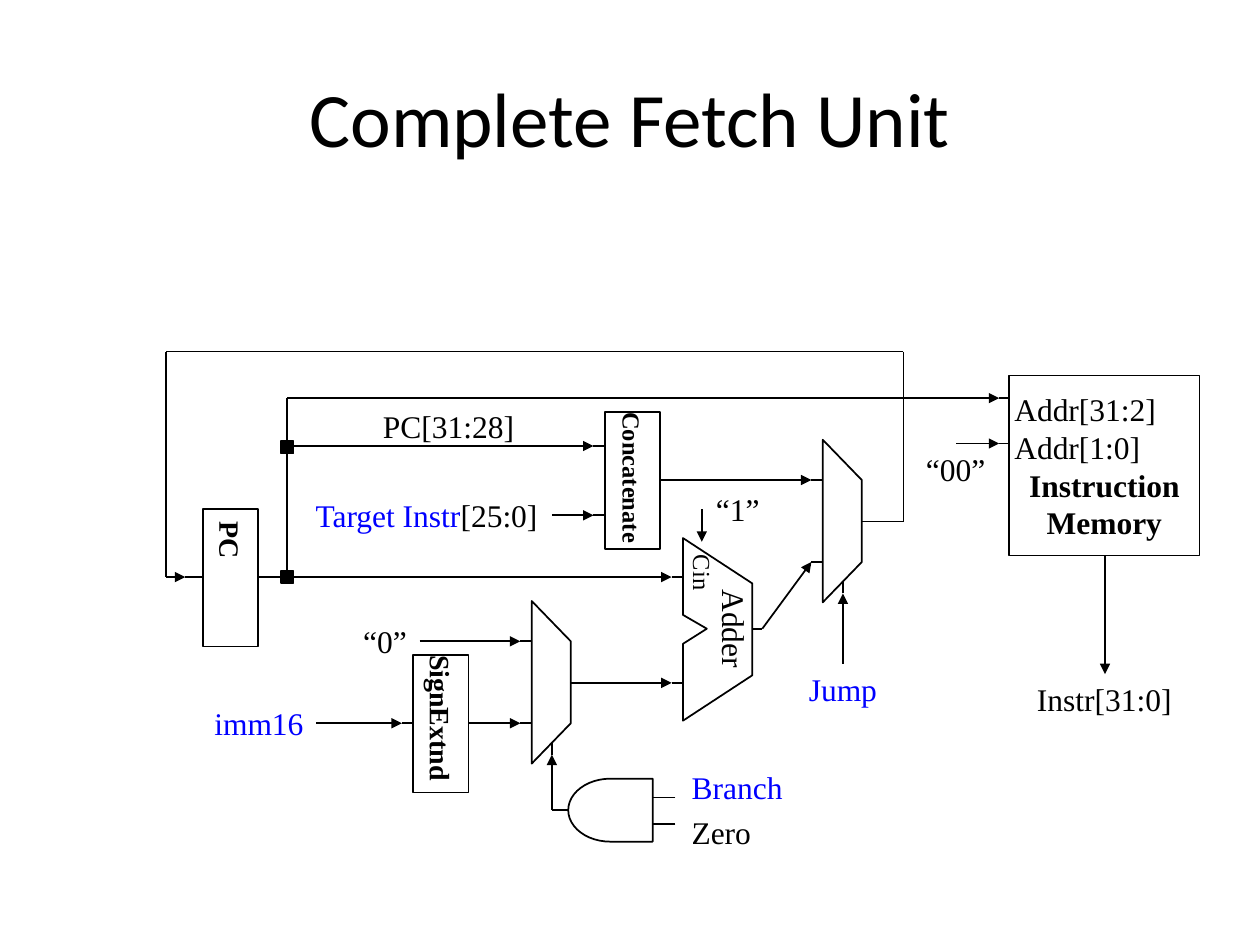
from itertools import pairwise

from lxml.etree import SubElement
from pptx import Presentation
from pptx.dml.color import RGBColor
from pptx.enum.shapes import MSO_CONNECTOR, MSO_SHAPE
from pptx.enum.text import MSO_ANCHOR, PP_ALIGN
from pptx.oxml.ns import qn
from pptx.util import Pt

PX = 9144
SERIF = "Times New Roman"
COLORS = {"black": "000000", "white": "FFFFFF", "blue": "0000FF"}

TITLE = "Complete Fetch Unit"
BLOCK_SIZE = (44, 109)
BLOCKS = [
    ("SignExtnd", 16, PP_ALIGN.CENTER, 0, 328, 520),
    ("PC", 16, PP_ALIGN.LEFT, 10, 161, 404),
    ("Concatenate", 14, PP_ALIGN.CENTER, 0, 480, 327),
]
MEMORY_BOX = (801, 298, 151, 143)
MEMORY_LINES = [
    ("Addr[31:2]", PP_ALIGN.LEFT, False),
    ("Addr[1:0]", PP_ALIGN.LEFT, False),
    ("Instruction", PP_ALIGN.CENTER, True),
    ("Memory", PP_ALIGN.CENTER, True),
]
MUX_OUTLINE = [(0, 0), (31, 32), (31, 97), (0, 129)]
MUX_CORNERS = [(653, 349), (422, 477)]
ADDER_OUTLINE = [(542, 427), (597, 463), (597, 536), (542, 572),
                 (542, 511), (561, 499), (542, 488)]
GATE_BOX = (451, 618, 67, 50)
JUNCTIONS = [(223, 350, 10, 10), (223, 453, 10, 10)]

LABELS = [
    ([("Instr[31:0]", "black")], (813, 535, 127, 40), 18, 0),
    ([("Jump", "blue")], (632, 527, 74, 40), 18, 0),
    ([("“00”", "black")], (725, 352, 67, 40), 18, 0),
    ([("PC[31:28]", "black")], (294, 318, 124, 40), 18, 0),
    ([("Target Instr", "blue"), ("[25:0]", "black")], (239, 389, 199, 40), 18, 0),
    ([("imm16", "blue")], (160, 554, 91, 40), 18, 0),
    ([("“1”", "black")], (558, 384, 55, 40), 18, 0),
    ([("“0”", "black")], (278, 489, 55, 40), 18, 0),
    ([("Zero", "black")], (539, 640, 67, 40), 18, 0),
    ([("Branch", "blue")], (539, 605, 92, 40), 18, 0),
    ([("Cin", "black")], (534, 438, 48, 33), 14, 90),
    ([("Adder", "black")], (541, 479, 84, 40), 18, 90),
]

WIRES = [
    (8, [(684, 414), (693, 414), (703, 414), (717, 414), (717, 279), (702, 279),
         (147, 279), (132, 279), (132, 458), (147, 458), (152, 458), (161, 458)]),
    (None, [(205, 458), (214, 458), (223, 458)]),
    (None, [(228, 453), (228, 360)]),
    (2, [(228, 350), (228, 316), (242, 316), (793, 316), (801, 316)]),
    (0, [(233, 354), (471, 354), (480, 354)]),
    (0, [(438, 409), (471, 409), (480, 409)]),
    (1, [(524, 381), (533, 381), (644, 381), (653, 381)]),
    (0, [(233, 458), (533, 458), (542, 458)]),
    (0, [(557, 404), (557, 430)]),
    (1, [(597, 499), (605, 499), (644, 446), (653, 446)]),
    (0, [(669, 527), (669, 471), (669, 462)]),
    (0, [(759, 352), (793, 352), (801, 352)]),
    (1, [(877, 441), (877, 451), (877, 535)]),
    (0, [(333, 509), (413, 509), (422, 509)]),
    (0, [(251, 574), (319, 574), (328, 574)]),
    (1, [(372, 574), (381, 574), (413, 574), (422, 574)]),
    (1, [(453, 542), (462, 542), (533, 542), (542, 542)]),
    (1, [(451, 643), (438, 643), (438, 599), (438, 590)]),
    (None, [(536, 633), (518, 633)]),
    (None, [(536, 654), (518, 654)]),
]


def color(name):
    return RGBColor.from_string(COLORS[name])


def scaled(values):
    return [value * PX for value in values]


def outline(shape, fill="white"):
    shape.shadow.inherit = False
    shape.fill.solid()
    shape.fill.fore_color.rgb = color(fill)
    shape.line.color.rgb = color("black")
    shape.line.width = Pt(1)
    return shape


def add_box(slide, preset, box, fill="white"):
    return outline(slide.shapes.add_shape(preset, *scaled(box)), fill)


def add_outline(slide, points):
    builder = slide.shapes.build_freeform(*points[0], scale=PX)
    builder.add_line_segments(points[1:], close=True)
    return outline(builder.convert_to_shape())


def style(run, size, name="black", bold=False):
    run.font.name = SERIF
    run.font.size = Pt(size)
    run.font.bold = bold
    run.font.color.rgb = color(name)


def add_block(slide, text, size, alignment, inset, left, top):
    frame = add_box(slide, MSO_SHAPE.RECTANGLE, (left, top, *BLOCK_SIZE)).text_frame
    frame.text = text
    frame.word_wrap = True
    frame.vertical_anchor = MSO_ANCHOR.MIDDLE
    frame.margin_left = frame.margin_right = inset * PX
    frame.margin_top = frame.margin_bottom = inset * PX
    frame._txBody.bodyPr.set("vert", "eaVert")
    frame.paragraphs[0].alignment = alignment
    style(frame.paragraphs[0].runs[0], size, bold=True)


def add_memory(slide):
    frame = add_box(slide, MSO_SHAPE.RECTANGLE, MEMORY_BOX).text_frame
    frame.text = "\n".join(text for text, _, _ in MEMORY_LINES)
    frame.word_wrap = True
    frame.vertical_anchor = MSO_ANCHOR.MIDDLE
    frame.margin_left = frame.margin_right = 4 * PX
    for paragraph, (_, alignment, bold) in zip(frame.paragraphs, MEMORY_LINES):
        paragraph.alignment = alignment
        style(paragraph.runs[0], 18, bold=bold)


def add_label(slide, parts, box, size, rotation):
    label = slide.shapes.add_textbox(*scaled(box))
    label.rotation = rotation
    label.text_frame.word_wrap = False
    paragraph = label.text_frame.paragraphs[0]
    paragraph.alignment = PP_ALIGN.CENTER
    for text, name in parts:
        run = paragraph.add_run()
        run.text = text
        style(run, size, name)


def add_wire(slide, arrow_index, points):
    for index, (start, end) in enumerate(pairwise(points)):
        line = slide.shapes.add_connector(MSO_CONNECTOR.STRAIGHT, *scaled(start + end))
        line.line.color.rgb = color("black")
        line.line.width = Pt(1)
        if index == arrow_index:
            SubElement(line.line._get_or_add_ln(), qn("a:tailEnd"), type="triangle")
        SubElement(line._element.spPr, qn("a:effectLst"))


def main():
    presentation = Presentation()
    presentation.slide_width, presentation.slide_height = scaled((1000, 750))
    slide = presentation.slides.add_slide(presentation.slide_layouts[5])
    title = slide.shapes.title
    title.left, title.top, title.width, title.height = scaled((50, 30, 900, 125))
    title.text_frame.text = TITLE
    font = title.text_frame.paragraphs[0].runs[0].font
    font.name, font.size = "Calibri", Pt(44)
    font.color.rgb = color("black")

    for block in BLOCKS:
        add_block(slide, *block)
    add_memory(slide)
    for left, top in MUX_CORNERS:
        add_outline(slide, [(left + x, top + y) for x, y in MUX_OUTLINE])
    add_outline(slide, ADDER_OUTLINE)
    add_box(slide, MSO_SHAPE.FLOWCHART_DELAY, GATE_BOX).rotation = 180
    for junction in JUNCTIONS:
        add_box(slide, MSO_SHAPE.RECTANGLE, junction, "black")
    for wire in WIRES:
        add_wire(slide, *wire)
    for label in LABELS:
        add_label(slide, *label)
    presentation.save("out.pptx")


if __name__ == "__main__":
    main()
